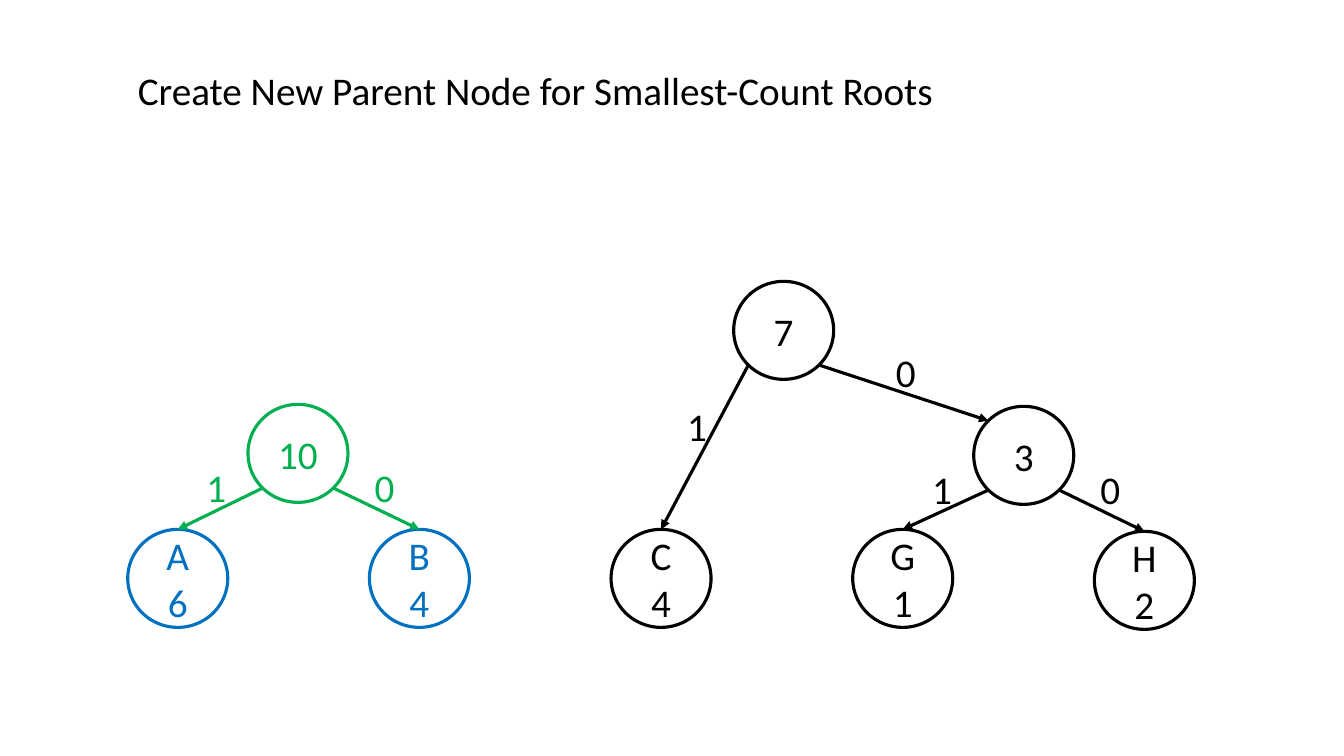
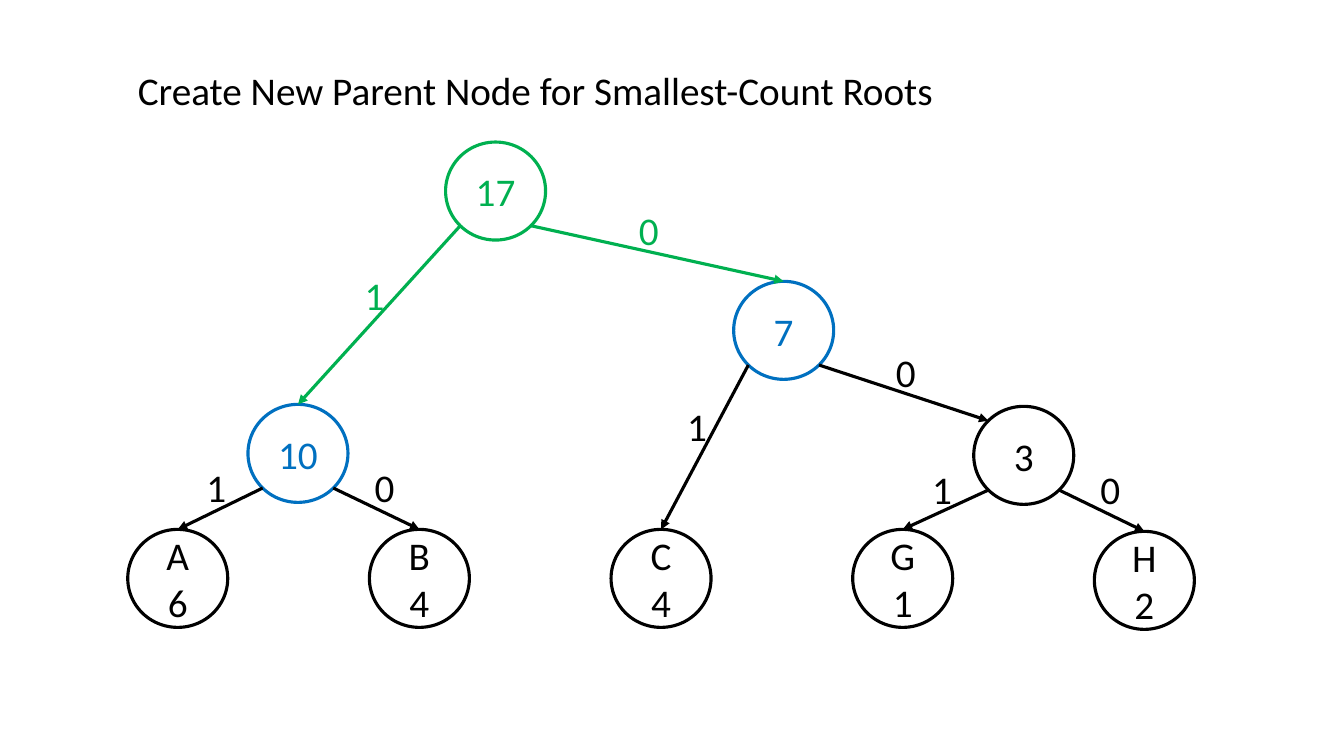
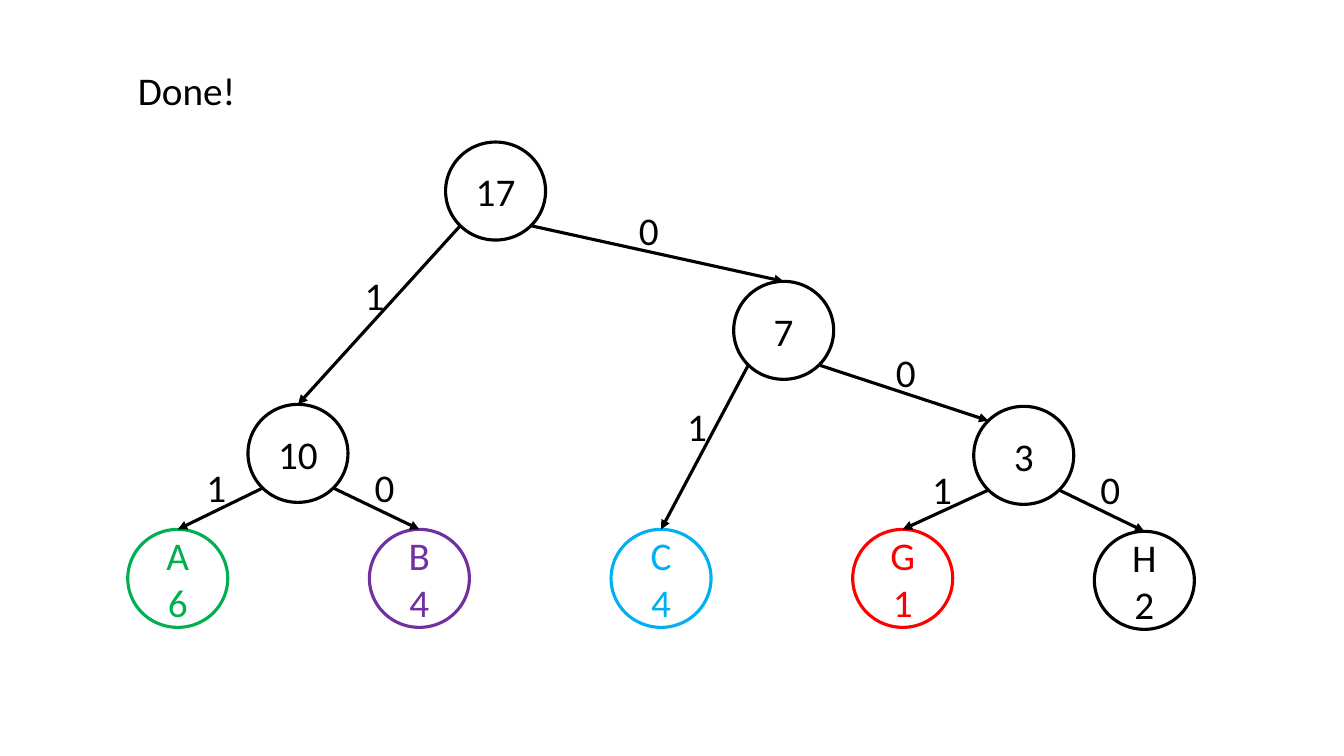
from math import sqrt

from lxml.etree import SubElement
from pptx import Presentation
from pptx.dml.color import RGBColor
from pptx.enum.shapes import MSO_CONNECTOR as CONN, MSO_SHAPE as SHAPE
from pptx.enum.text import MSO_ANCHOR as ANCHOR, MSO_AUTO_SIZE as AUTO, PP_ALIGN as ALIGN
from pptx.oxml.ns import qn
from pptx.util import Cm, Pt

BLACK = RGBColor(0x00, 0x00, 0x00)
GREEN = RGBColor(0x00, 0xB0, 0x50)
BLUE = RGBColor(0x00, 0x70, 0xC0)
SKY = RGBColor(0x00, 0xB0, 0xF0)
PURPLE = RGBColor(0x70, 0x30, 0xA0)
RED = RGBColor(0xFF, 0x00, 0x00)

NODE_W, NODE_H = 2.52, 2.47
LABEL_W, LABEL_H = 0.89, 1.45
LINE_W = Pt(2.25)
LEAF_LEFT, LEAF_STEP, LEAF_TOP = 3.22, 6.09, 13.34

NODES = {
    "17": (11.23, 3.58),
    "10": (6.25, 10.19),
    "7": (18.49, 7.09),
    "3": (24.54, 10.24),
}
LEAVES = ["A\n6", "B\n4", "C\n4", "G\n1", "H\n2"]
for i, leaf in enumerate(LEAVES):
    NODES[leaf] = (LEAF_LEFT + i * LEAF_STEP, LEAF_TOP)
NODES["H\n2"] = (NODES["H\n2"][0], 13.39)

EDGES = [
    ("17", "10", "1", 8.94, 6.71),
    ("17", "7", "0", 15.85, 5.08),
    ("10", "A\n6", "1", 4.95, 11.56),
    ("10", "B\n4", "0", 9.19, 11.56),
    ("7", "C\n4", "1", 17.07, 10.01),
    ("7", "3", "0", 22.33, 8.66),
    ("3", "G\n1", "1", 23.24, 11.61),
    ("3", "H\n2", "0", 27.48, 11.61),
]

MERGE = "Create New Parent Node for Smallest-Count Roots"
SLIDES = [
    (MERGE, {"17"}, {"10": GREEN, "A\n6": BLUE, "B\n4": BLUE}, {"10": GREEN}),
    (MERGE, set(), {"17": GREEN, "10": BLUE, "7": BLUE}, {"17": GREEN}),
    ("Done!", set(), {"A\n6": GREEN, "B\n4": PURPLE, "C\n4": SKY, "G\n1": RED}, {}),
]


def set_text(shape, text, color=BLACK, align=ALIGN.CENTER, anchor=ANCHOR.TOP):
    tf = shape.text_frame
    tf.word_wrap = True
    tf.auto_size = AUTO.NONE
    tf.vertical_anchor = anchor
    tf.text = text
    for p in tf.paragraphs:
        p.alignment = align
        p.font.name = "Calibri"
        p.font.size = Pt(28)
        p.font.color.rgb = color


def diagonal(node, dx, dy):
    left, top = NODES[node]
    x = left + NODE_W / 2 * (1 + dx / sqrt(2))
    y = top + NODE_H / 2 * (1 + dy / sqrt(2))
    return Cm(x), Cm(y)


prs = Presentation()
prs.slide_width, prs.slide_height = Cm(33.87), Cm(19.05)

for title, absent, node_colors, edge_colors in SLIDES:
    s = prs.slides.add_slide(prs.slide_layouts[5])
    head = s.shapes.title
    head.left, head.top, head.width, head.height = Cm(3.22), Cm(1.55), Cm(30.65), Cm(1.45)
    set_text(head, title, align=ALIGN.LEFT)

    circles = {}
    for name, (left, top) in NODES.items():
        if name in absent:
            continue
        color = node_colors.get(name, BLACK)
        sp = s.shapes.add_shape(SHAPE.OVAL, Cm(left), Cm(top), Cm(NODE_W), Cm(NODE_H))
        sp.shadow.inherit = False
        sp.fill.background()
        sp.line.color.rgb = color
        sp.line.width = LINE_W
        set_text(sp, name, color=color, anchor=ANCHOR.MIDDLE)
        circles[name] = sp

    for parent, child, bit, left, top in EDGES:
        if parent in absent:
            continue
        color = edge_colors.get(parent, BLACK)
        start = diagonal(parent, -1 if bit == "1" else 1, 1)
        arrow = s.shapes.add_connector(CONN.STRAIGHT, *start, *diagonal(child, -1, -1))
        if child != "3":
            arrow.end_connect(circles[child], 0)
        arrow.line.color.rgb = color
        arrow.line.width = LINE_W
        SubElement(arrow.line._get_or_add_ln(), qn("a:tailEnd"), type="triangle")
        SubElement(arrow._element.spPr, qn("a:effectLst"))

        label = s.shapes.add_textbox(Cm(left), Cm(top), Cm(LABEL_W), Cm(LABEL_H))
        set_text(label, bit, color=color, align=ALIGN.CENTER if bit == "1" else ALIGN.LEFT)

prs.save("out.pptx")
